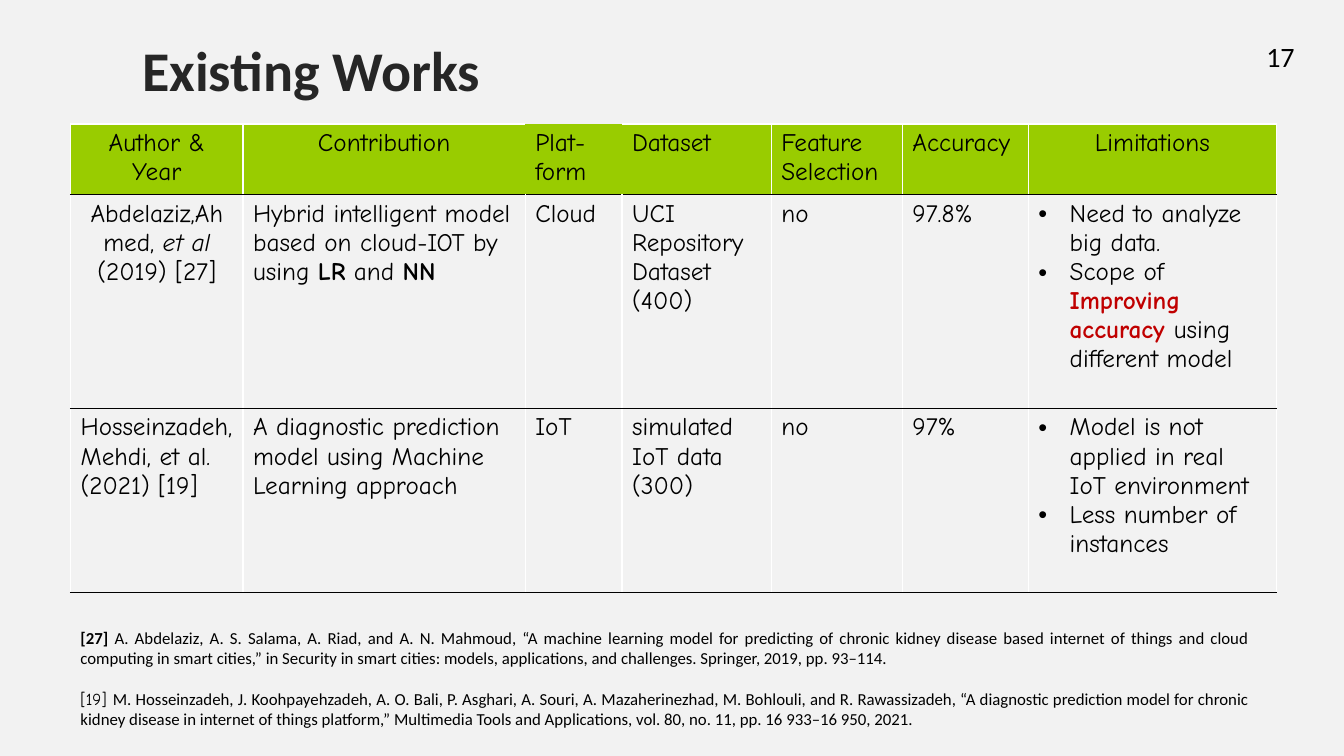
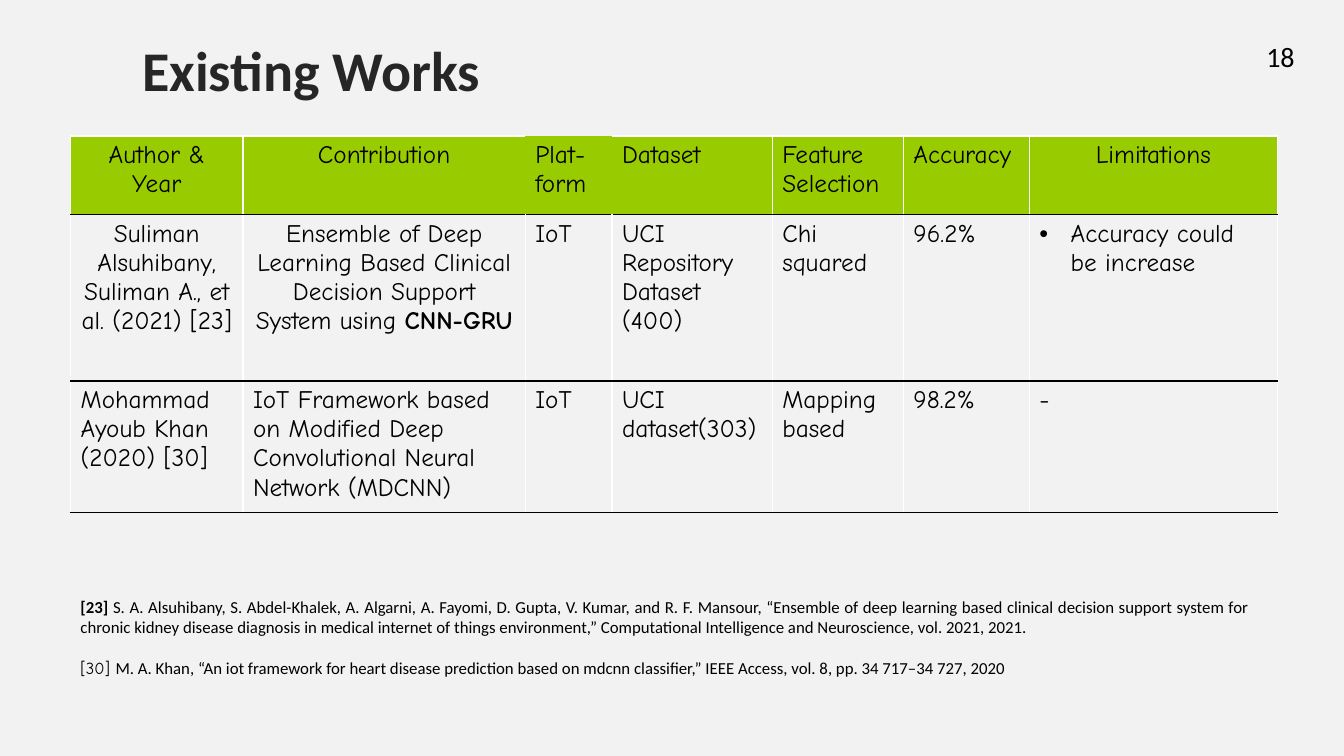
from lxml import etree
from pptx import Presentation
from pptx.dml.color import RGBColor
from pptx.enum import text as t
from pptx.oxml import ns
from pptx.util import Inches, Pt

COLORS = {"page": "F2F2F2", "header": "99CC00", "ink": "000000",
          "title": "262626", "accent": "C00000", "rule": "FFFFFF"}
BODY_FONT, TABLE_FONT = "Calibri", "Comic Neue"
WIDTH, HEIGHT = 13.33, 7.5
LEFT = 0.7
FIRST_NUMBER = 17
TITLE = "Existing Works"
HEADINGS = ["Author & Year", "Contribution", "Plat-form", "Dataset",
            "Feature Selection", "Accuracy", "Limitations"]
CENTERED_HEADINGS = {0, 1, 6}
PLATFORM = HEADINGS.index("Plat-form")
LIMITATIONS = HEADINGS.index("Limitations")
BOLD = {"bold": True}
TAG = {"font": TABLE_FONT}

WORKS = [
    {
        "top": 1.23,
        "columns": [1.71, 2.8, 0.96, 1.48, 1.3, 1.25, 2.46],
        "heights": [0.67, 2.12, 1.83],
        "centered": {(1, 0)},
        "rows": [
            [[["Abdelaziz,Ahmed, ", ("et al", {"italic": True})], "(2019) [27]"],
             [["Hybrid intelligent model based on cloud-IOT by using ",
               ("LR", BOLD), " and ", ("NN", BOLD)]],
             "Cloud", "UCI Repository Dataset (400)", "no", "97.8%",
             ["Need to analyze big data.",
              ["Scope of ",
               ("Improving accuracy ", {"bold": True, "color": "accent"}),
               "using different model"]]],
            ["Hosseinzadeh, Mehdi, et al. (2021) [19]",
             "A diagnostic prediction model using Machine Learning approach",
             "IoT", "simulated IoT data (300)", "no", "97%",
             ["Model is not applied in real IoT environment",
              "Less number of instances"]],
        ],
        "references_top": 6.18,
        "references_height": 1.31,
        "references": [
            [("[27] ", BOLD),
             "A. Abdelaziz, A. S. Salama, A. Riad, and A. N. Mahmoud, “A machine "
             "learning model for predicting of chronic kidney disease based internet "
             "of things and cloud computing in smart cities,” in Security in smart "
             "cities: models, applications, and challenges. Springer, 2019, pp. 93–114."],
            [("[19] ", TAG),
             "M. Hosseinzadeh, J. Koohpayehzadeh, A. O. Bali, P. Asghari, A. Souri, "
             "A. Mazaherinezhad, M. Bohlouli, and R. Rawassizadeh, “A diagnostic "
             "prediction model for chronic kidney disease in internet of things "
             "platform,” Multimedia Tools and Applications, vol. 80, no. 11, "
             "pp. 16 933–16 950, 2021."],
        ],
    },
    {
        "top": 1.35,
        "columns": [1.71, 2.8, 0.86, 1.59, 1.3, 1.25, 2.46],
        "heights": [0.78, 1.65, 1.25],
        "centered": {(1, 0), (1, 1)},
        "rows": [
            ["Suliman Alsuhibany, Suliman A., et al. (2021) [23]",
             ["Ensemble of Deep Learning Based Clinical Decision Support",
              ["System using ", ("CNN-GRU", BOLD)]],
             "IoT", "UCI Repository Dataset (400)", "Chi squared", "96.2%",
             ["Accuracy could be increase"]],
            ["Mohammad Ayoub Khan (2020) [30]",
             "IoT Framework based on Modified Deep Convolutional Neural Network (MDCNN)",
             "IoT", "UCI dataset(303)", "Mapping based", "98.2%", "-"],
        ],
        "references_top": 5.87,
        "references_height": 0.91,
        "references": [
            [("[23] ", BOLD),
             "S. A. Alsuhibany, S. Abdel-Khalek, A. Algarni, A. Fayomi, D. Gupta, "
             "V. Kumar, and R. F. Mansour, “Ensemble of deep learning based clinical "
             "decision support system for chronic kidney disease diagnosis in medical "
             "internet of things environment,” Computational Intelligence and "
             "Neuroscience, vol. 2021, 2021."],
            [("[30] ", TAG),
             "M. A. Khan, “An iot framework for heart disease prediction based on "
             "mdcnn classifier,” IEEE Access, vol. 8, pp. 34 717–34 727, 2020"],
        ],
    },
]


def rgb(name):
    return RGBColor.from_string(COLORS[name])


def write(frame, content, font=BODY_FONT, size=18, color="ink", bold=False,
          align="LEFT", spacing=None, gap=0, bullet=False):
    frame.word_wrap = True
    paragraphs = [content] if isinstance(content, str) else content
    for index, runs in enumerate(paragraphs):
        paragraph = frame.add_paragraph() if index else frame.paragraphs[0]
        if bullet:
            props = paragraph._p.get_or_add_pPr()
            indent = Inches(0.31)
            props.set("marL", str(indent))
            props.set("indent", str(-indent))
            etree.SubElement(props, ns.qn("a:buFont"), typeface="Arial")
            etree.SubElement(props, ns.qn("a:buChar"), char="•")
        paragraph.alignment = getattr(t.PP_ALIGN, align)
        if spacing:
            paragraph.line_spacing = spacing
        if index and gap:
            paragraph.space_before = Pt(gap)
        for part in [runs] if isinstance(runs, str) else runs:
            words, own = (part, {}) if isinstance(part, str) else part
            run = paragraph.add_run()
            run.text = words
            run.font.name = own.get("font", font)
            run.font.size = Pt(size)
            run.font.bold = own.get("bold", bold)
            run.font.italic = own.get("italic", False)
            run.font.color.rgb = rgb(own.get("color", color))


def add_text(slide, box, content, **style):
    frame = slide.shapes.add_textbox(*map(Inches, box)).text_frame
    write(frame, content, **style)


def set_borders(cell, **sides):
    props = cell._tc.get_or_add_tcPr()
    for side in "LRTB":
        line = etree.SubElement(props, ns.qn(f"a:ln{side}"), w=str(Pt(1)))
        if sides.get(side):
            fill = etree.SubElement(line, ns.qn("a:solidFill"))
            etree.SubElement(fill, ns.qn("a:srgbClr"), val=COLORS[sides[side]])
        else:
            etree.SubElement(line, ns.qn("a:noFill"))


def add_works_table(slide, work):
    columns, heights = work["columns"], work["heights"]
    table = slide.shapes.add_table(
        len(heights), len(columns), Inches(LEFT), Inches(work["top"]),
        Inches(sum(columns)), Inches(sum(heights))).table
    table.first_row = table.horz_banding = False
    for column, width in zip(table.columns, columns):
        column.width = Inches(width)
    for row, height in zip(table.rows, heights):
        row.height = Inches(height)
    for r, entries in enumerate([HEADINGS] + work["rows"]):
        for c, entry in enumerate(entries):
            cell = table.cell(r, c)
            heading = r == 0
            set_borders(
                cell, B="ink",
                L=None if heading and c in (PLATFORM, PLATFORM + 1) else "rule",
                R=None if heading and c in (PLATFORM - 1, PLATFORM) else "rule",
                T="ink" if not heading else None if c == PLATFORM else "rule")
            if heading:
                cell.fill.solid()
                cell.fill.fore_color.rgb = rgb("header")
            else:
                cell.fill.background()
            centered = c in CENTERED_HEADINGS if heading else (r, c) in work["centered"]
            write(cell.text_frame, entry, font=TABLE_FONT,
                  align="CENTER" if centered else "LEFT",
                  bullet=c == LIMITATIONS and isinstance(entry, list))


def add_slide(deck, number, work):
    slide = deck.slides.add_slide(deck.slide_layouts[5])
    title = slide.shapes.title
    title.left, title.top, title.width, title.height = map(Inches, (0.81, 0.26, 11.5, 0.94))
    frame = title.text_frame
    frame.auto_size = t.MSO_AUTO_SIZE.NONE
    frame.vertical_anchor = t.MSO_ANCHOR.MIDDLE
    frame.margin_left = Inches(0.6)
    write(frame, TITLE, size=40, color="title", bold=True, spacing=0.9)
    add_text(slide, (12.4, 0.34, 0.54, 0.4), str(number), size=20, align="RIGHT")
    add_works_table(slide, work)
    add_text(slide, (LEFT, work["references_top"], 11.8, work["references_height"]),
             work["references"], size=12, align="JUSTIFY", gap=14.6)


def main():
    deck = Presentation()
    deck.slide_width, deck.slide_height = Inches(WIDTH), Inches(HEIGHT)
    background = deck.slide_master.background.fill
    background.solid()
    background.fore_color.rgb = rgb("page")
    for number, work in enumerate(WORKS, FIRST_NUMBER):
        add_slide(deck, number, work)
    deck.save("out.pptx")


if __name__ == "__main__":
    main()
